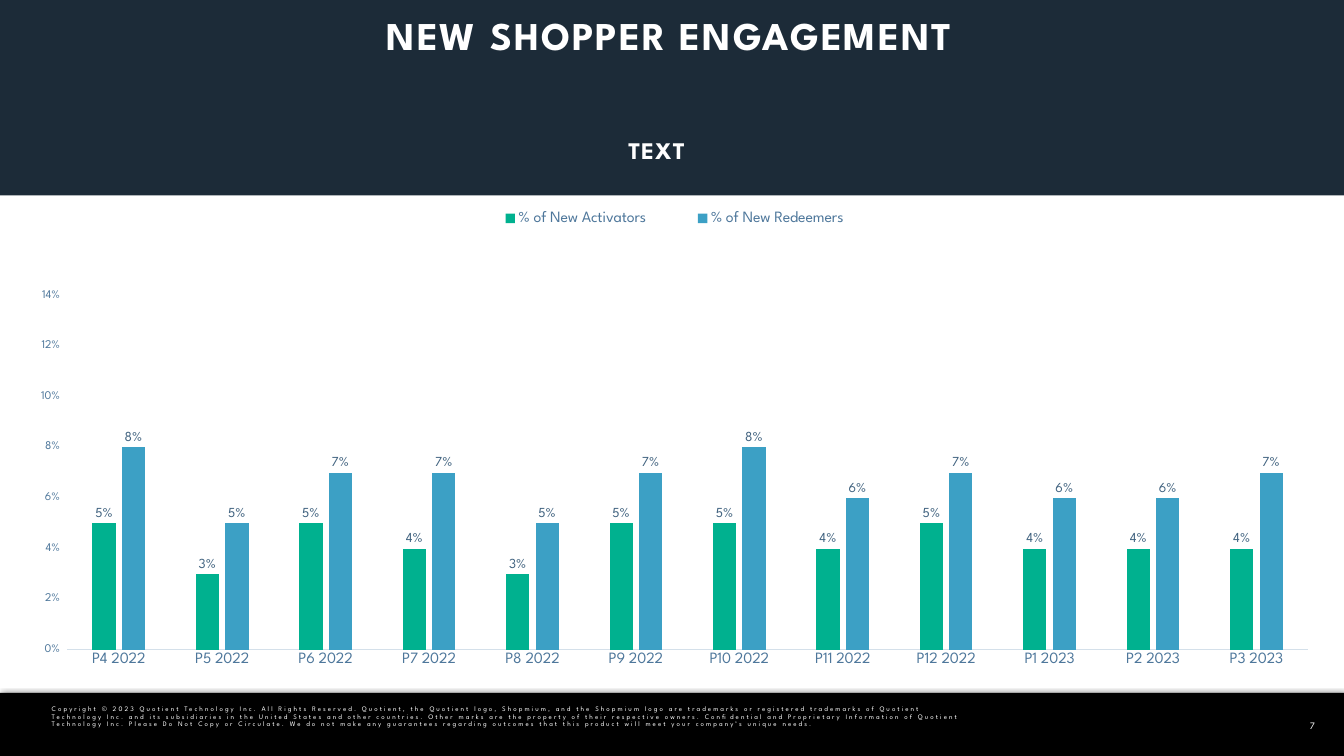
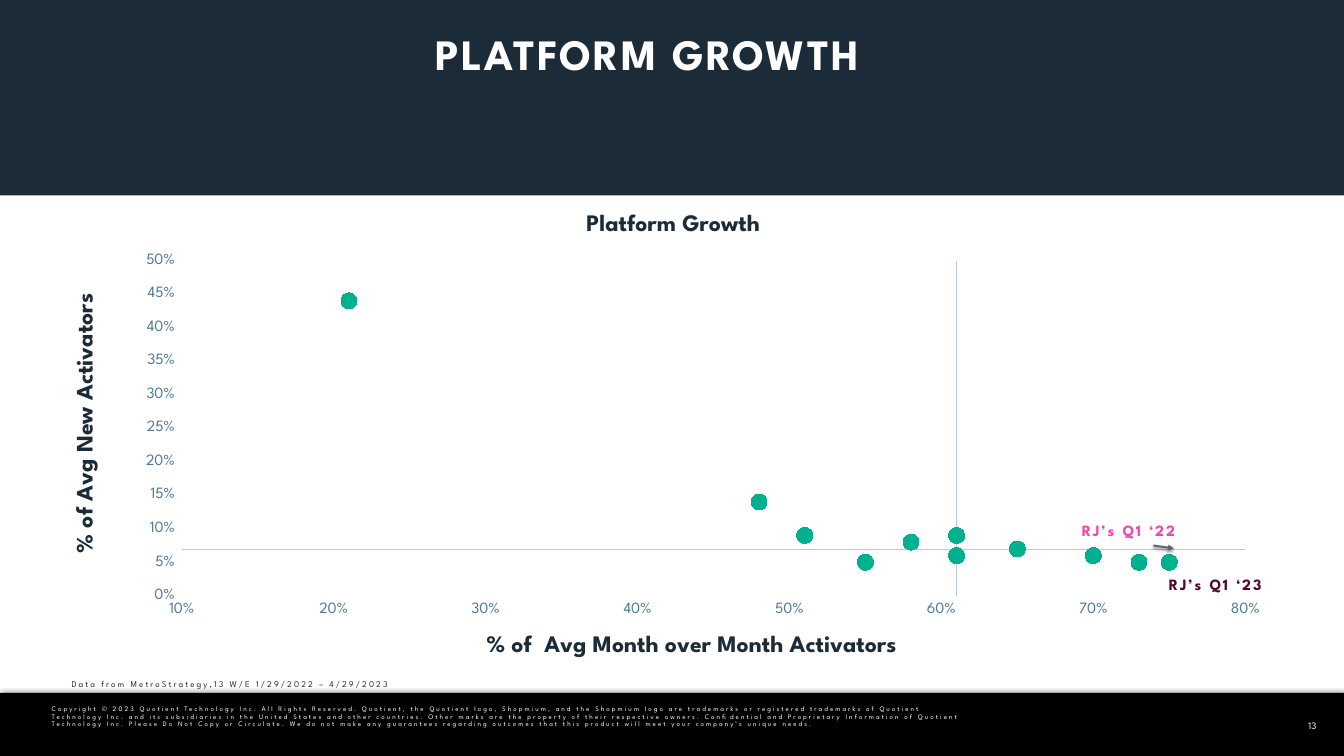
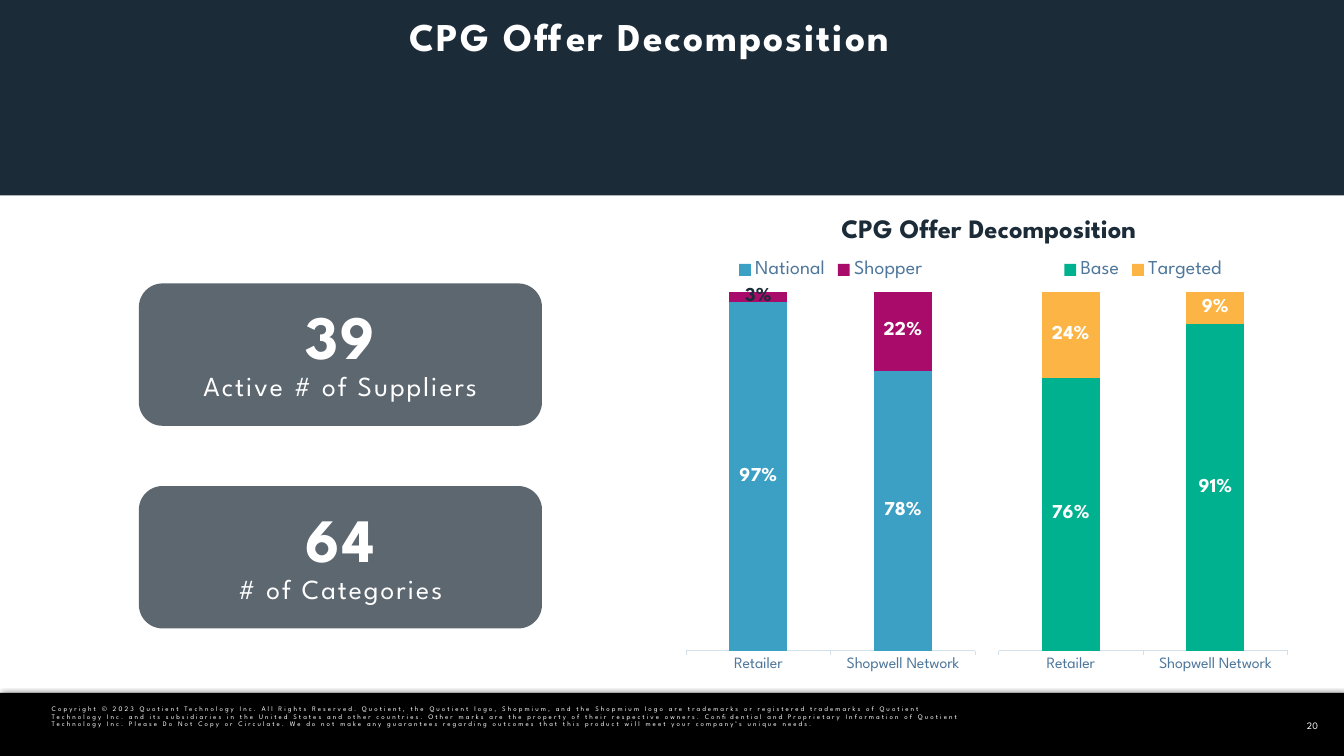
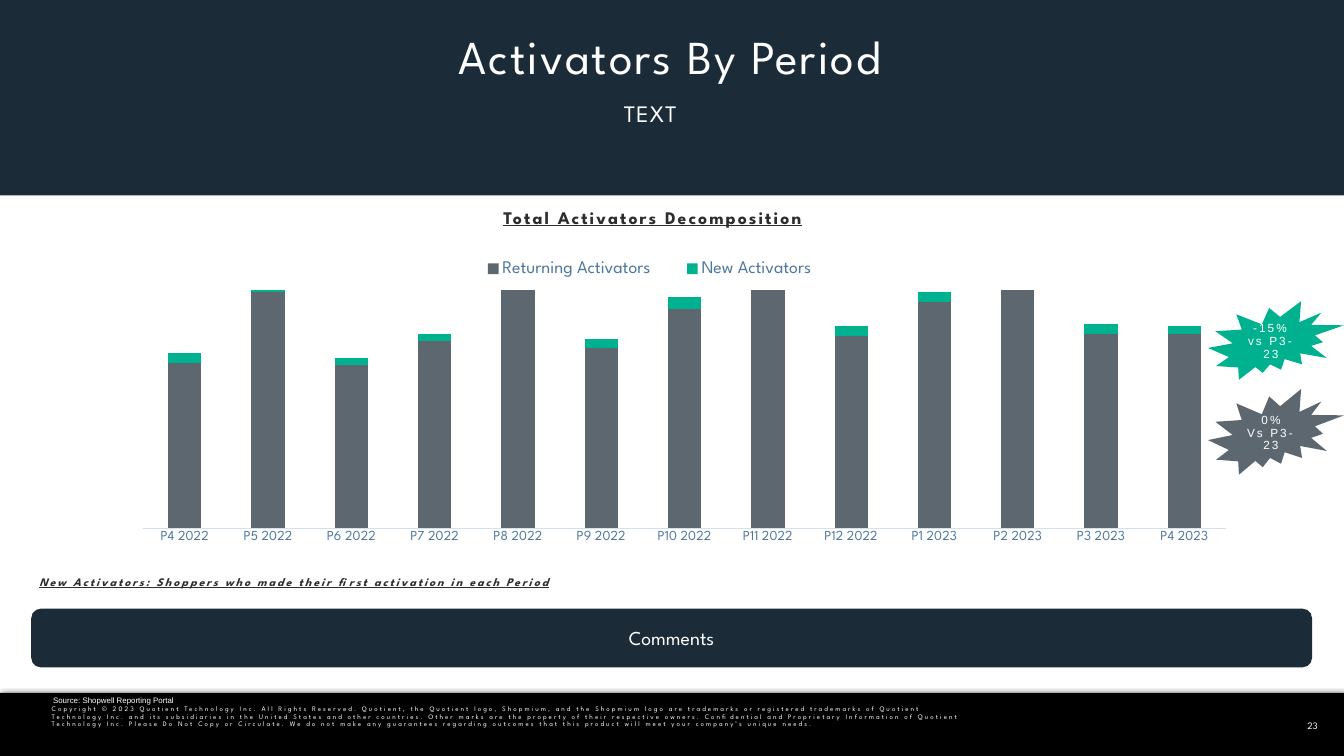
from lxml import etree
from pptx import Presentation
from pptx.chart.data import CategoryChartData, XyChartData
from pptx.dml.color import RGBColor
from pptx.enum.chart import (XL_CHART_TYPE, XL_LABEL_POSITION, XL_LEGEND_POSITION,
                             XL_MARKER_STYLE, XL_TICK_LABEL_POSITION, XL_TICK_MARK)
from pptx.enum.shapes import MSO_CONNECTOR, MSO_SHAPE
from pptx.enum.text import MSO_ANCHOR, MSO_AUTO_SIZE, PP_ALIGN
from pptx.oxml.ns import qn
from pptx.util import Inches, Pt

CLUSTERED = XL_CHART_TYPE.COLUMN_CLUSTERED
STACKED = XL_CHART_TYPE.COLUMN_STACKED
STACKED_100 = XL_CHART_TYPE.COLUMN_STACKED_100
SCATTER = XL_CHART_TYPE.XY_SCATTER
OUTSIDE_END = XL_LABEL_POSITION.OUTSIDE_END
LABEL_CENTER = XL_LABEL_POSITION.CENTER
LEGEND_TOP = XL_LEGEND_POSITION.TOP
CIRCLE = XL_MARKER_STYLE.CIRCLE
LABELS_LOW = XL_TICK_LABEL_POSITION.LOW
TICK_NONE, TICK_OUT = XL_TICK_MARK.NONE, XL_TICK_MARK.OUTSIDE
STRAIGHT = MSO_CONNECTOR.STRAIGHT
RECT, ROUND_RECT = MSO_SHAPE.RECTANGLE, MSO_SHAPE.ROUNDED_RECTANGLE
BURST = MSO_SHAPE.EXPLOSION2
TOP, MIDDLE, BOTTOM = MSO_ANCHOR.TOP, MSO_ANCHOR.MIDDLE, MSO_ANCHOR.BOTTOM
NO_AUTOSIZE = MSO_AUTO_SIZE.NONE
LEFT, CENTER = PP_ALIGN.LEFT, PP_ALIGN.CENTER

COLORS = {
    "navy": "1C2B38", "black": "000000", "white": "FFFFFF", "text": "2D2D2D",
    "slate": "5D6770", "green": "00B18F", "blue": "3CA0C5", "magenta": "A80B69",
    "amber": "FCB544", "pink": "F345AD", "plum": "540534", "axis_text": "4E779B",
    "label": "40627F", "axis_line": "D4E0EA", "cross_line": "B8CBDC",
}
FONT = "League Spartan"
SLIDE_W, SLIDE_H = 18.97, 10.67
BAND_H = 2.76
FOOTER_Y = 9.78
PAD = (0.1, 0.05, 0.1, 0.05)
SMALL_PAD = (0.04,) * 4
NO_PAD = (0,) * 4
COPYRIGHT = (
    "Copyright © 2023 Quotient Technology Inc. All Rights Reserved. Quotient, the Quotient "
    "logo, Shopmium, and the Shopmium logo are trademarks or registered trademarks of Quotient "
    "Technology Inc. and its subsidiaries in the United States and other countries. Other marks "
    "are the property of their respective owners. Confidential and Proprietary Information of "
    "Quotient Technology Inc. Please Do Not Copy or Circulate. We do not make any guarantees "
    "regarding outcomes that this product will meet your company’s unique needs.")
PERIODS = [f"P{n} 2022" for n in range(4, 13)] + [f"P{n} 2023" for n in range(1, 5)]


def rgb(color):
    return RGBColor.from_string(COLORS[color])


def set_font(font, size, color, bold=False, italic=False, underline=False, name=FONT):
    font.name, font.size = name, Pt(size)
    font.bold, font.italic, font.underline = bold, italic, underline
    font.color.rgb = rgb(color)


def write(sp, *lines, anchor=TOP, pad=PAD, align=CENTER, spacing=0.9, wrap=True):
    """Fill a shape with paragraphs, each given as (text, font settings)."""
    tf = sp.text_frame
    tf.auto_size, tf.word_wrap, tf.vertical_anchor = NO_AUTOSIZE, wrap, anchor
    tf.margin_left, tf.margin_top, tf.margin_right, tf.margin_bottom = map(Inches, pad)
    for i, (text, style) in enumerate(lines):
        p = tf.add_paragraph() if i else tf.paragraphs[0]
        p.text, p.alignment, p.line_spacing = text, align, spacing
        style = dict(style)
        tracking = style.pop("tracking", 0)
        set_font(p.font, **style)
        p._p.pPr.find(qn("a:defRPr")).set("spc", str(round(tracking * 100)))


def add_text(slide, box, text, style, **layout):
    sp = slide.shapes.add_textbox(*map(Inches, box))
    write(sp, (text, style), **layout)
    return sp


def set_effects(sp, blur=0, dist=0, angle=0):
    """Replace the theme shadow by none, or by a half-transparent black one."""
    effects = etree.SubElement(sp.element.spPr, qn("a:effectLst"))
    if blur:
        shadow = etree.SubElement(
            effects, qn("a:outerShdw"), blurRad=str(Pt(blur)), dist=str(Pt(dist)),
            dir=str(angle * 60000), algn="ctr", rotWithShape="0")
        color = etree.SubElement(shadow, qn("a:srgbClr"), val=COLORS["black"])
        etree.SubElement(color, qn("a:alpha"), val="50000")


def add_block(slide, kind, box, color, **shadow):
    sp = slide.shapes.add_shape(kind, *map(Inches, box))
    sp.fill.solid()
    sp.fill.fore_color.rgb = rgb(color)
    sp.line.fill.background()
    set_effects(sp, **shadow)
    return sp


def move_frame_to_layout(slide):
    """Draw the header band and footer, then hand them to the slide's layout."""
    layout = slide.slide_layout
    for ph in list(layout.placeholders)[1:]:
        ph.element.getparent().remove(ph.element)
    frame = [
        add_block(slide, RECT, (0, FOOTER_Y, SLIDE_W, SLIDE_H - FOOTER_Y), "black",
                  blur=4, dist=1),
        add_text(slide, (0.73, 9.96, 12.95, 0.4), COPYRIGHT,
                 dict(size=7, color="white", tracking=2.1), pad=NO_PAD, align=LEFT),
        add_block(slide, RECT, (0, 0, SLIDE_W, BAND_H), "navy"),
    ]
    for sp in frame:
        layout.shapes.element.append(sp.element)


def add_slide(prs, number, title, box, size, bold=True, anchor=TOP):
    slide = prs.slides.add_slide(prs.slide_layouts.get_by_name("Title Only"))
    if len(prs.slides) == 1:
        move_frame_to_layout(slide)
    sp = slide.shapes.title
    sp.left, sp.top, sp.width, sp.height = map(Inches, box)
    write(sp, (title, dict(size=size, color="white", bold=bold, tracking=2)),
          anchor=anchor, pad=(0, 0, 0.06, 0.06), spacing=1.0)
    add_text(slide, (18.1, 9.84, 0.85, 0.83), str(number),
             dict(size=10, color="white"), anchor=MIDDLE)
    return slide


def add_subtitle(slide, box, size, bold, anchor):
    add_text(slide, box, "TEXT", dict(size=size, color="white", bold=bold, tracking=1),
             anchor=anchor, pad=(0, 0.06, 0.06, 0.03), spacing=1.2)


def place(element, index, x, y, w=None, h=None, inner=False):
    """Give a chart part a manual layout, in fractions of the chart."""
    for old in element.findall(qn("c:layout")):
        element.remove(old)
    layout = etree.Element(qn("c:layout"))
    manual = etree.SubElement(layout, qn("c:manualLayout"))
    values = [("layoutTarget", "inner")] if inner else []
    values += [("xMode", "edge"), ("yMode", "edge"), ("x", x), ("y", y)]
    if w:
        values += [("w", w), ("h", h)]
    for tag, value in values:
        etree.SubElement(manual, qn(f"c:{tag}"), val=str(value))
    element.insert(index, layout)


def place_plot(chart, *area):
    place(chart.element.find(".//" + qn("c:plotArea")), 0, *area, inner=True)


def place_legend(chart, *area):
    place(chart.element.find(".//" + qn("c:legend")), 1, *area)


def insert_chart(slide, box, kind, data, size=10):
    chart = slide.shapes.add_chart(kind, *map(Inches, box), data).chart
    set_font(chart.font, size, "navy")
    chart.has_title = False
    chart.has_legend = False
    chart.plots[0].vary_by_categories = False
    return chart


def style_axis(axis, size, line=None, tick=TICK_NONE):
    axis.has_major_gridlines = False
    axis.major_tick_mark, axis.minor_tick_mark = tick, TICK_NONE
    set_font(axis.tick_labels.font, size, "axis_text")
    if line:
        axis.format.line.color.rgb = rgb(line)
        axis.format.line.width = Pt(0.75)
    else:
        axis.format.line.fill.background()


def add_column_chart(slide, box, kind, cats, series, axis_size, legend_size, gap, overlap,
                     tick=TICK_NONE, number_format="0%", size=10):
    """Add a column chart; series holds (name, colour, values)."""
    data = CategoryChartData(number_format=number_format)
    data.categories = cats
    for name, _, values in series:
        data.add_series(name, values)
    chart = insert_chart(slide, box, kind, data, size)
    chart.has_legend = True
    chart.legend.position = LEGEND_TOP
    chart.legend.include_in_layout = False
    set_font(chart.legend.font, legend_size, "axis_text")
    plot = chart.plots[0]
    plot.gap_width, plot.overlap = gap, overlap
    for s, (_, color, _) in zip(plot.series, series):
        s.format.fill.solid()
        s.format.fill.fore_color.rgb = rgb(color)
        s.invert_if_negative = False
    style_axis(chart.category_axis, axis_size, "axis_line", tick)
    chart.value_axis.has_major_gridlines = False
    return chart


def label_series(s, position, size, color, bold=False):
    labels = s.data_labels
    labels.show_value = True
    labels.number_format, labels.number_format_is_linked = "0%", False
    labels.position = position
    set_font(labels.font, size, color, bold)


def set_chart_title(title, text, x, y):
    p = title.text_frame.paragraphs[0]
    p.text = text
    set_font(p.font, 24, "navy", bold=True)
    place(title.element, 1, x, y)


def shopper_engagement(prs):
    slide = add_slide(prs, 7, "NEW SHOPPER ENGAGEMENT", (3.56, 0.16, 11.84, 1.12), 40)
    add_subtitle(slide, (0.55, 1.34, 17.5, 1.01), 24.2, True, BOTTOM)
    series = [
        ("% of New Activators", "green",
         [0.05, 0.03, 0.05, 0.04, 0.03, 0.05, 0.05, 0.04, 0.05, 0.04, 0.04, 0.04]),
        ("% of New Redeemers", "blue",
         [0.08, 0.05, 0.07, 0.07, 0.05, 0.07, 0.08, 0.06, 0.07, 0.06, 0.06, 0.07]),
    ]
    chart = add_column_chart(slide, (0.21, 2.77, 18.44, 6.96), CLUSTERED, PERIODS[:12], series,
                             axis_size=16, legend_size=16, gap=219, overlap=-27)
    for s in chart.plots[0].series:
        label_series(s, OUTSIDE_END, 14, "label")
    axis = chart.value_axis
    style_axis(axis, 12, tick=TICK_OUT)
    axis.minimum_scale, axis.maximum_scale, axis.major_unit = 0, 0.15, 0.02
    axis.tick_labels.number_format = "0%"
    axis.tick_labels.number_format_is_linked = False
    place_plot(chart, 0.04, 0.15, 0.95, 0.77)
    place_legend(chart, 0.34, 0.01, 0.33, 0.07)


def add_growth_chart(slide, box, points):
    """Scatter chart whose axes cross at the average of the points."""
    data = XyChartData(number_format="0%")
    xy = data.add_series("Series 1")
    for x, y in points:
        xy.add_data_point(x, y)
    chart = insert_chart(slide, box, SCATTER, data)
    s = chart.plots[0].series[0]
    s.format.line.fill.background()
    s.marker.style, s.marker.size = CIRCLE, 16
    s.marker.format.fill.solid()
    s.marker.format.fill.fore_color.rgb = rgb("green")
    s.marker.format.line.fill.background()
    for axis, low, high, step, cross in ((chart.category_axis, 0.1, 0.8, 0.1, 0.61),
                                         (chart.value_axis, 0, 0.5, 0.05, 0.07)):
        style_axis(axis, 16, "cross_line")
        axis.minimum_scale, axis.maximum_scale, axis.major_unit = low, high, step
        axis.crosses_at = cross
        axis.tick_label_position = LABELS_LOW
        axis.tick_labels.number_format = "0%"
        axis.tick_labels.number_format_is_linked = False
    chart.has_title = True
    set_chart_title(chart.chart_title, "Platform Growth", 0.42, 0.02)
    set_chart_title(chart.category_axis.axis_title,
                    "% of  Avg Month over Month Activators", 0.34, 0.9)
    y_title = chart.value_axis.axis_title
    set_chart_title(y_title, "% of Avg New Activators", 0.01, 0.19)
    body = y_title.element.find(".//" + qn("a:bodyPr"))
    body.set("rot", "-5400000")
    body.set("vert", "horz")
    place_plot(chart, 0.1, 0.13, 0.85, 0.7)


def platform_growth(prs):
    slide = add_slide(prs, 13, "PLATFORM GROWTH", (0.41, 0.39, 17.52, 1.12), 44)
    add_growth_chart(slide, (0.8, 2.8, 17.66, 6.76), [
        (0.7, 0.06), (0.75, 0.05), (0.58, 0.08), (0.61, 0.09), (0.61, 0.06), (0.51, 0.09),
        (0.55, 0.05), (0.65, 0.07), (0.48, 0.14), (0.21, 0.44), (0.73, 0.05)])
    for text, color, box in (("RJ’s Q1 ‘23", "plum", (16.25, 8.09, 1.81, 0.28)),
                             ("RJ’s Q1 ‘22", "pink", (14.97, 7.33, 1.92, 0.41))):
        add_text(slide, box, text, dict(size=16, color=color, bold=True, tracking=2.1))
    arrow = slide.shapes.add_connector(STRAIGHT, *map(Inches, (16.28, 7.7, 16.57, 7.74)))
    arrow.line.color.rgb = rgb("slate")
    arrow.line.width = Pt(2)
    etree.SubElement(arrow.get_or_add_ln(), qn("a:tailEnd"), type="triangle")
    set_effects(arrow, blur=3, dist=2, angle=90)
    add_text(slide, (0.24, 9.54, 6, 0.24),
             "Data from MetroStrategy,13 W/E 1/29/2022 – 4/29/2023",
             dict(size=9, color="text", tracking=2.1))


def add_stat_card(slide, box, value, caption):
    sp = add_block(slide, ROUND_RECT, box, "slate")
    write(sp, (value, dict(size=62.6, color="white", bold=True, tracking=2.1)),
          (caption, dict(size=28, color="white", tracking=2.1)), anchor=MIDDLE)


def add_share_chart(slide, box, series):
    chart = add_column_chart(slide, box, STACKED_100, ["Retailer", "Shopwell Network"], series,
                             axis_size=16, legend_size=20, gap=150, overlap=100, tick=TICK_OUT)
    chart.value_axis.visible = False
    for s in chart.plots[0].series:
        label_series(s, LABEL_CENTER, 20, "white", bold=True)
    return chart


def offer_decomposition(prs):
    slide = add_slide(prs, 20, "CPG Offer Decomposition", (3.4, 0.17, 11.6, 1.12), 40)
    cards = (("39", "Active # of Suppliers"), ("64", "# of Categories"))
    for i, (value, caption) in enumerate(cards):
        add_stat_card(slide, (1.96, 4 + i * 2.86, 5.69, 2.01), value, caption)
    add_share_chart(slide, (14.01, 3.55, 4.25, 6.06), [
        ("Base", "green", [0.76, 0.91]), ("Targeted", "amber", [0.24, 0.09])])
    chart = add_share_chart(slide, (9.6, 3.55, 4.25, 6.06), [
        ("National", "blue", [0.97, 0.78]), ("Shopper", "magenta", [0.03, 0.22])])
    shopper = chart.plots[0].series[1]
    label_series(shopper, LABEL_CENTER, 20, "navy", bold=True)
    label = shopper.points[1].data_label
    set_font(label.font, 20, "white", bold=True)
    label.position = LABEL_CENTER
    add_text(slide, (11.33, 2.74, 5.25, 1), "CPG Offer Decomposition",
             dict(size=27, color="navy", bold=True), anchor=MIDDLE, pad=(0.06,) * 4, wrap=False)


def add_burst(slide, box, color, *lines):
    style = dict(size=12, color="white", tracking=2.1, name="Arial")
    write(add_block(slide, BURST, box, color), *((line, style) for line in lines),
          anchor=MIDDLE, pad=SMALL_PAD)


def activators_by_period(prs):
    slide = add_slide(prs, 23, "Activators By Period", (0.74, 0.12, 17.5, 1.12), 48,
                      bold=False, anchor=BOTTOM)
    add_subtitle(slide, (0.56, 1.23, 17.3, 0.62), 24, False, MIDDLE)
    series = [
        ("Returning Activators", "slate",
         [68, 97, 67, 77, 99, 74, 90, 100, 79, 93, 99, 80, 80]),
        ("New Activators", "green", [4, 3, 3, 3, 3, 4, 5, 4, 4, 4, 4, 4, 3]),
    ]
    chart = add_column_chart(slide, (0.87, 3.24, 16.44, 5.02), STACKED, PERIODS, series,
                             axis_size=14, legend_size=18, gap=150, overlap=100,
                             number_format="#,##0", size=11)
    axis = chart.value_axis
    axis.visible = False
    axis.minimum_scale, axis.maximum_scale = 0, 98
    place_plot(chart, 0.07, 0.17, 0.93, 0.67)
    place_legend(chart, 0.34, 0.07, 0.33, 0.08)
    add_text(slide, (3.87, 2.91, 10.68, 0.61), "Total Activators Decomposition",
             dict(size=18, color="text", bold=True, underline=True, tracking=2.1),
             pad=SMALL_PAD)
    add_burst(slide, (17.05, 5.49, 1.92, 1.21), "slate", "0%", "Vs P3-23")
    add_burst(slide, (17.05, 4.25, 1.92, 1.11), "green", "-15% vs P3-23")
    add_text(slide, (0.1, 8.13, 8.1, 0.23),
             "New Activators: Shoppers who made their first activation in each Period",
             dict(size=11.7, color="text", bold=True, italic=True, underline=True,
                  tracking=2.1), pad=SMALL_PAD, spacing=0.7)
    comments = add_block(slide, ROUND_RECT, (0.44, 8.59, 18.08, 0.83), "navy")
    write(comments, ("Comments", dict(size=20, color="white")),
          anchor=MIDDLE, pad=(0.06,) * 4, spacing=1.0)
    add_text(slide, (0.75, 9.74, 15.13, 0.21), "Source: Shopwell Reporting Portal",
             dict(size=8, color="white", name="Arial"),
             anchor=BOTTOM, pad=NO_PAD, align=LEFT, spacing=1.0)


def main():
    prs = Presentation()
    prs.slide_width, prs.slide_height = Inches(SLIDE_W), Inches(SLIDE_H)
    shopper_engagement(prs)
    platform_growth(prs)
    offer_decomposition(prs)
    activators_by_period(prs)
    prs.save("out.pptx")


if __name__ == "__main__":
    main()
